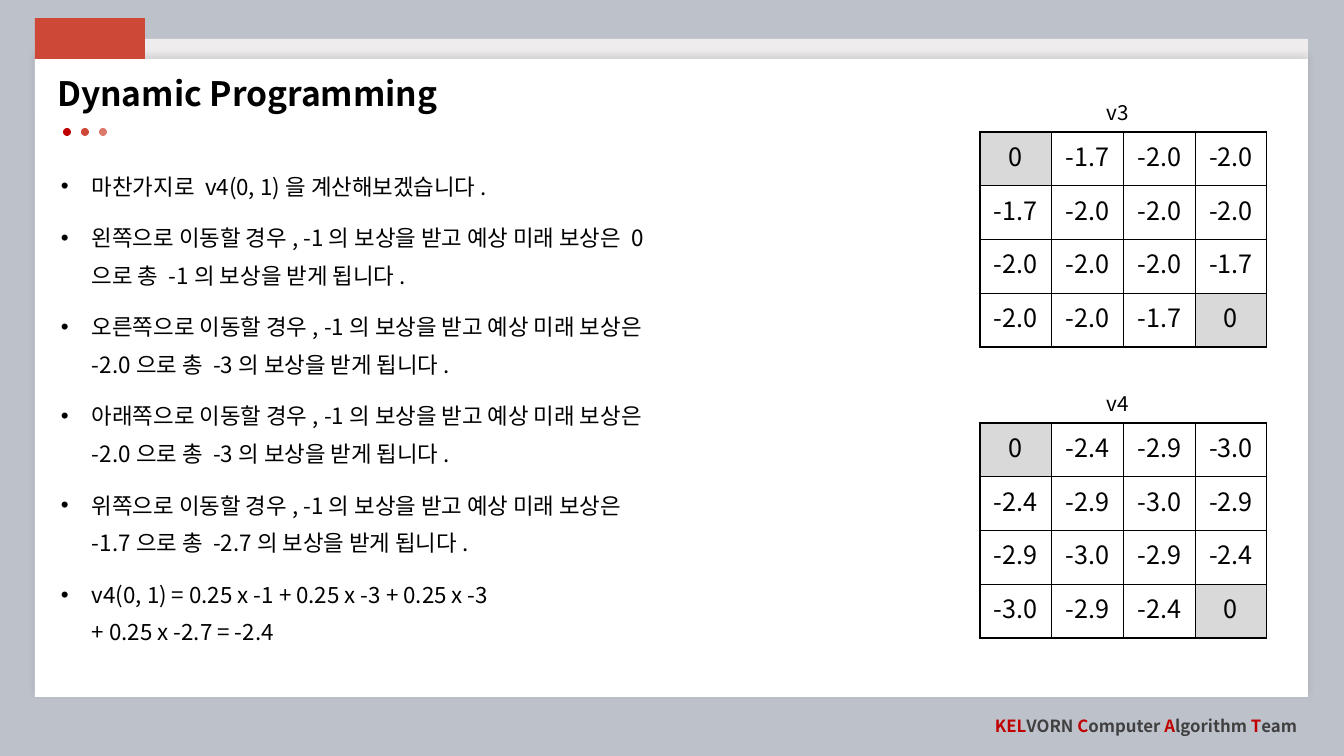
from lxml.etree import SubElement
from pptx import Presentation
from pptx.dml.color import RGBColor
from pptx.enum.shapes import MSO_SHAPE
from pptx.enum.text import MSO_ANCHOR, MSO_AUTO_SIZE, PP_ALIGN
from pptx.oxml.ns import qn
from pptx.util import Emu, Pt

FONT = "Noto Sans CJK KR"
BLACK, GREY, RED, CORAL = "000000", "404040", "C00000", "CD4837"

BULLETS = [
    "마찬가지로 v4(0, 1)을 계산해보겠습니다.",
    "왼쪽으로 이동할 경우, -1의 보상을 받고 예상 미래 보상은 0으로 총 -1의 보상을 받게 됩니다.",
    "오른쪽으로 이동할 경우, -1의 보상을 받고 예상 미래 보상은 -2.0으로 총 -3의 보상을 받게 됩니다.",
    "아래쪽으로 이동할 경우, -1의 보상을 받고 예상 미래 보상은 -2.0으로 총 -3의 보상을 받게 됩니다.",
    "위쪽으로 이동할 경우, -1의 보상을 받고 예상 미래 보상은 -1.7으로 총 -2.7의 보상을 받게 됩니다.",
    "v4(0, 1) = 0.25 x -1 + 0.25 x -3 + 0.25 x -3\n+ 0.25 x -2.7 = -2.4",
]
V3 = [
    ["0", "-1.7", "-2.0", "-2.0"],
    ["-1.7", "-2.0", "-2.0", "-2.0"],
    ["-2.0", "-2.0", "-2.0", "-1.7"],
    ["-2.0", "-2.0", "-1.7", "0"],
]
V4 = [
    ["0", "-2.4", "-2.9", "-3.0"],
    ["-2.4", "-2.9", "-3.0", "-2.9"],
    ["-2.9", "-3.0", "-2.9", "-2.4"],
    ["-3.0", "-2.9", "-2.4", "0"],
]
TEAM = [("KEL", RED), ("VORN ", GREY), ("C", RED), ("omputer ", GREY),
        ("A", RED), ("lgorithm ", GREY), ("T", RED), ("eam", GREY)]


def px(length):
    return Emu(round(length * 914400 / 100.8))


def color(value):
    return RGBColor.from_string(value)


def add_block(slide, kind, left, top, width, height, fill):
    shape = slide.shapes.add_shape(kind, px(left), px(top), px(width), px(height))
    shape.shadow.inherit = False
    shape.fill.solid()
    shape.fill.fore_color.rgb = color(fill)
    shape.line.fill.background()
    return shape


def add_text_frame(slide, left, top, width, height, wrap=True):
    frame = slide.shapes.add_textbox(px(left), px(top), px(width), px(height)).text_frame
    frame.word_wrap = wrap
    return frame


def format_paragraph(paragraph, size, bold=False, align=PP_ALIGN.LEFT, spacing=None):
    paragraph.alignment = align
    if spacing:
        paragraph.line_spacing = spacing
        paragraph.space_before = Pt(10)
    font = paragraph.font
    font.size, font.bold, font.name = Pt(size), bold, FONT
    font.color.rgb = color(BLACK)
    # Korean text takes the East Asian typeface
    defaults = paragraph._p.pPr.find(qn("a:defRPr"))
    SubElement(defaults, qn("a:ea"), typeface=FONT)


def add_bullet(paragraph, indent):
    properties = paragraph._p.pPr
    properties.set("marL", str(px(indent)))
    properties.set("indent", str(-px(indent)))
    defaults = properties.find(qn("a:defRPr"))
    for tag, name, value in (("a:buFont", "typeface", "Arial"), ("a:buChar", "char", "•")):
        defaults.addprevious(SubElement(properties, qn(tag), {name: value}))


def add_soft_shadow(shape):
    effects = shape._element.spPr.find(qn("a:effectLst"))
    shadow = SubElement(effects, qn("a:outerShdw"), blurRad=str(Pt(4)), dist=str(Pt(3)),
                        dir="16200000", algn="b", rotWithShape="0")
    tint = SubElement(shadow, qn("a:srgbClr"), val=BLACK)
    SubElement(tint, qn("a:alpha"), val="10000")


def add_backdrop(slide, left, top, width, height):
    slide.background.fill.solid()
    slide.background.fill.fore_color.rgb = color("BDC1CA")
    band = add_block(slide, MSO_SHAPE.ROUNDED_RECTANGLE, left, top - 20, width, 67, "EEECED")
    band.adjustments[0] = 0.015
    add_soft_shadow(add_block(slide, MSO_SHAPE.RECTANGLE, left, top, width, height, "FFFFFF"))
    for index, fill in enumerate((RED, CORAL, "DA796C")):
        add_block(slide, MSO_SHAPE.OVAL, left + 28 + 18 * index, top + 69, 8, 8, fill)
    add_block(slide, MSO_SHAPE.RECTANGLE, left, top - 41, 110, 41, CORAL)


def add_team_name(slide, left, top, width, height):
    frame = add_text_frame(slide, left, top, width, height, wrap=False)
    frame.vertical_anchor = MSO_ANCHOR.MIDDLE
    paragraph = frame.paragraphs[0]
    format_paragraph(paragraph, 12, bold=True, align=PP_ALIGN.RIGHT)
    for text, shade in TEAM:
        run = paragraph.add_run()
        run.text = text
        run.font.color.rgb = color(shade)


def place_title(slide, left, top, width, height):
    title = slide.shapes.title
    title.left, title.top, title.width, title.height = map(px, (left, top, width, height))
    frame = title.text_frame
    frame.text = "Dynamic Programming"
    frame.word_wrap = True
    frame.auto_size = MSO_AUTO_SIZE.NONE
    frame.vertical_anchor = MSO_ANCHOR.TOP
    format_paragraph(frame.paragraphs[0], 24, bold=True, spacing=0.9)
    # Bring the title in front of the panel
    slide.shapes._spTree.append(title._element)


def add_explanation(slide, left, top, width, height):
    frame = add_text_frame(slide, left, top, width, height)
    for index, text in enumerate(BULLETS):
        paragraph = frame.add_paragraph() if index else frame.paragraphs[0]
        paragraph.text = text
        format_paragraph(paragraph, 16, spacing=1.4)
        add_bullet(paragraph, 31)


def add_borders(cell):
    properties = cell._tc.get_or_add_tcPr()
    for position, side in enumerate(("a:lnL", "a:lnR", "a:lnT", "a:lnB")):
        line = SubElement(properties, qn(side), w=str(Pt(1)))
        SubElement(SubElement(line, qn("a:solidFill")), qn("a:srgbClr"), val=BLACK)
        properties.insert(position, line)


def add_value_grid(slide, label, values, left, top, width, height):
    paragraph = add_text_frame(slide, left + 117, top - 47, 104, 47).paragraphs[0]
    paragraph.text = label
    format_paragraph(paragraph, 14.8, spacing=1.4)

    table = slide.shapes.add_table(len(values), len(values[0]), px(left), px(top),
                                   px(width), px(height)).table
    table.first_row = table.horz_banding = False
    for row, row_values in enumerate(values):
        for column, value in enumerate(row_values):
            cell = table.cell(row, column)
            cell.text = value
            format_paragraph(cell.text_frame.paragraphs[0], 18, align=PP_ALIGN.CENTER)
            # Terminal states are shaded
            if value == "0":
                cell.fill.solid()
                cell.fill.fore_color.rgb = color("D9D9D9")
            else:
                cell.fill.background()
            add_borders(cell)


def main():
    presentation = Presentation()
    presentation.slide_width, presentation.slide_height = px(1344), px(756)
    slide = presentation.slides.add_slide(presentation.slide_layouts[5])
    add_backdrop(slide, 35, 59, 1273, 638)
    add_team_name(slide, 979, 711, 328, 30)
    add_explanation(slide, 51, 157, 622, 520)
    place_title(slide, 47, 72, 431, 61)
    for label, values, top in (("v3", V3, 132), ("v4", V4, 423)):
        add_value_grid(slide, label, values, 980, top, 287, 215)
    presentation.save("out.pptx")


if __name__ == "__main__":
    main()
